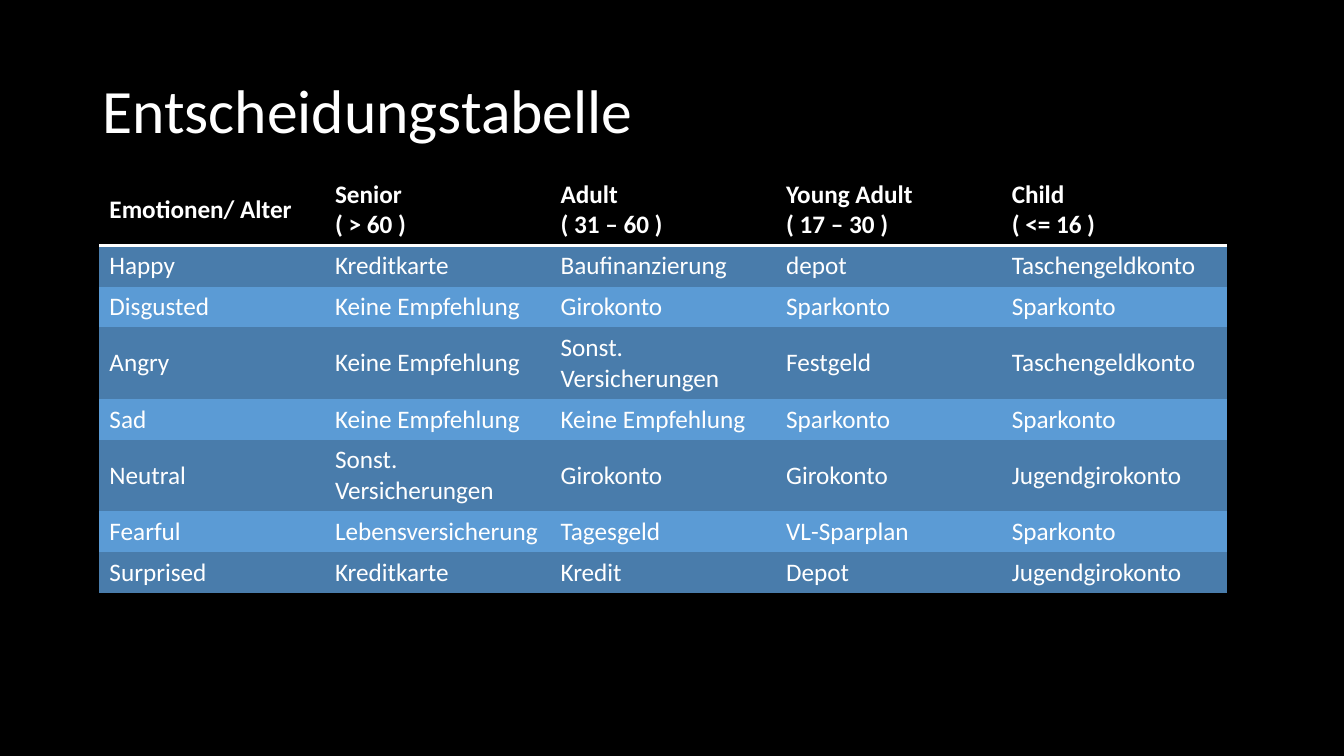
"""Build the decision table slide of bank products by emotion and age."""
from dataclasses import dataclass

from lxml.etree import SubElement
from pptx import Presentation
from pptx.dml.color import RGBColor
from pptx.enum.text import MSO_ANCHOR
from pptx.oxml.ns import qn
from pptx.slide import Slide
from pptx.table import _Cell
from pptx.text.text import _Paragraph
from pptx.util import Pt


@dataclass(frozen=True)
class Theme:
    """Colours, font and type sizes."""
    font: str = "Calibri"
    back: str = "000000"
    text: str = "FFFFFF"
    bands: tuple[str, str] = ("497CAB", "5B9BD5")
    title_size: float = 44
    cell_size: float = 18
    rule: float = 2


@dataclass(frozen=True)
class AgeGroup:
    """A column heading with its age range."""
    name: str
    ages: str


@dataclass(frozen=True)
class Emotion:
    """A table row: one emotion and a product per age group."""
    name: str
    products: tuple[str, str, str, str]
    tall: bool = False


THEME = Theme()
NO_STYLE = "{2D5ABB26-0587-4C30-8999-92F81FD0307C}"
COL_WIDTH, ROW_HEIGHT, TALL_HEIGHT = 161.14, 29.2, 51.1
NONE = "Keine Empfehlung"
OTHER = "Sonst. Versicherungen"
CORNER = "Emotionen/ Alter"
AGE_GROUPS = [
    AgeGroup("Senior", "( > 60 )"),
    AgeGroup("Adult", "( 31 – 60 )"),
    AgeGroup("Young Adult", "( 17 – 30 )"),
    AgeGroup("Child", "( <= 16 )"),
]
EMOTIONS = [
    Emotion("Happy", ("Kreditkarte", "Baufinanzierung", "depot", "Taschengeldkonto")),
    Emotion("Disgusted", (NONE, "Girokonto", "Sparkonto", "Sparkonto")),
    Emotion("Angry", (NONE, OTHER, "Festgeld", "Taschengeldkonto"), tall=True),
    Emotion("Sad", (NONE, NONE, "Sparkonto", "Sparkonto")),
    Emotion("Neutral", (OTHER, "Girokonto", "Girokonto", "Jugendgirokonto"), tall=True),
    Emotion("Fearful", ("Lebensversicherung", "Tagesgeld", "VL-Sparplan", "Sparkonto")),
    Emotion("Surprised", ("Kreditkarte", "Kredit", "Depot", "Jugendgirokonto")),
]


def write(p: _Paragraph, lines: list[str], size: float, bold: bool = False) -> None:
    """Write lines into one paragraph and set its font."""
    for i, line in enumerate(lines):
        if i:
            p.add_line_break()
        p.add_run().text = line
    p.font.name, p.font.size, p.font.bold = THEME.font, Pt(size), bold
    p.font.color.rgb = RGBColor.from_string(THEME.text)


def fill_cell(cell: _Cell, lines: list[str], fill: str, bold: bool = False) -> None:
    """Set the text and fill of a cell."""
    cell.vertical_anchor = MSO_ANCHOR.MIDDLE
    cell.fill.solid()
    cell.fill.fore_color.rgb = RGBColor.from_string(fill)
    write(cell.text_frame.paragraphs[0], lines, THEME.cell_size, bold)


def underline_cell(cell: _Cell) -> None:
    """Draw a rule along the bottom of a cell."""
    tcPr = cell._tc.get_or_add_tcPr()
    ln = SubElement(tcPr, qn("a:lnB"), w=str(Pt(THEME.rule)))
    SubElement(SubElement(ln, qn("a:solidFill")), qn("a:srgbClr"), val=THEME.text)
    tcPr.insert(0, ln)


def add_title(s: Slide, text: str) -> None:
    """Add the slide title."""
    tf = s.shapes.add_textbox(Pt(66), Pt(28.75), Pt(828), Pt(104.4)).text_frame
    tf.word_wrap = True
    tf.vertical_anchor = MSO_ANCHOR.MIDDLE
    p = tf.paragraphs[0]
    p.line_spacing = 0.9
    write(p, [text], THEME.title_size)


def add_decision_table(s: Slide) -> None:
    """Add the table of emotions against age groups."""
    heights = [TALL_HEIGHT] + [TALL_HEIGHT if e.tall else ROW_HEIGHT for e in EMOTIONS]
    n_cols = len(AGE_GROUPS) + 1
    sp = s.shapes.add_table(len(heights), n_cols, Pt(71), Pt(124.4),
                            Pt(COL_WIDTH * n_cols), Pt(sum(heights)))
    tb = sp.table
    tb.horz_banding = False
    tb._tbl.tblPr.find(qn("a:tableStyleId")).text = NO_STYLE
    for row, height in zip(tb.rows, heights):
        row.height = Pt(height)
    headings = [[CORNER]] + [[g.name, g.ages] for g in AGE_GROUPS]
    for c, lines in enumerate(headings):
        fill_cell(tb.cell(0, c), lines, THEME.back, bold=True)
        underline_cell(tb.cell(0, c))
    for r, emotion in enumerate(EMOTIONS):
        for c, text in enumerate((emotion.name, *emotion.products)):
            fill_cell(tb.cell(r + 1, c), [text], THEME.bands[r % 2])


def main() -> None:
    """Build and save the slide."""
    prs = Presentation()
    prs.slide_width, prs.slide_height = Pt(960), Pt(540)
    s = prs.slides.add_slide(prs.slide_layouts[6])
    s.background.fill.solid()
    s.background.fill.fore_color.rgb = RGBColor.from_string(THEME.back)
    add_title(s, "Entscheidungstabelle")
    add_decision_table(s)
    prs.save("out.pptx")


if __name__ == "__main__":
    main()
